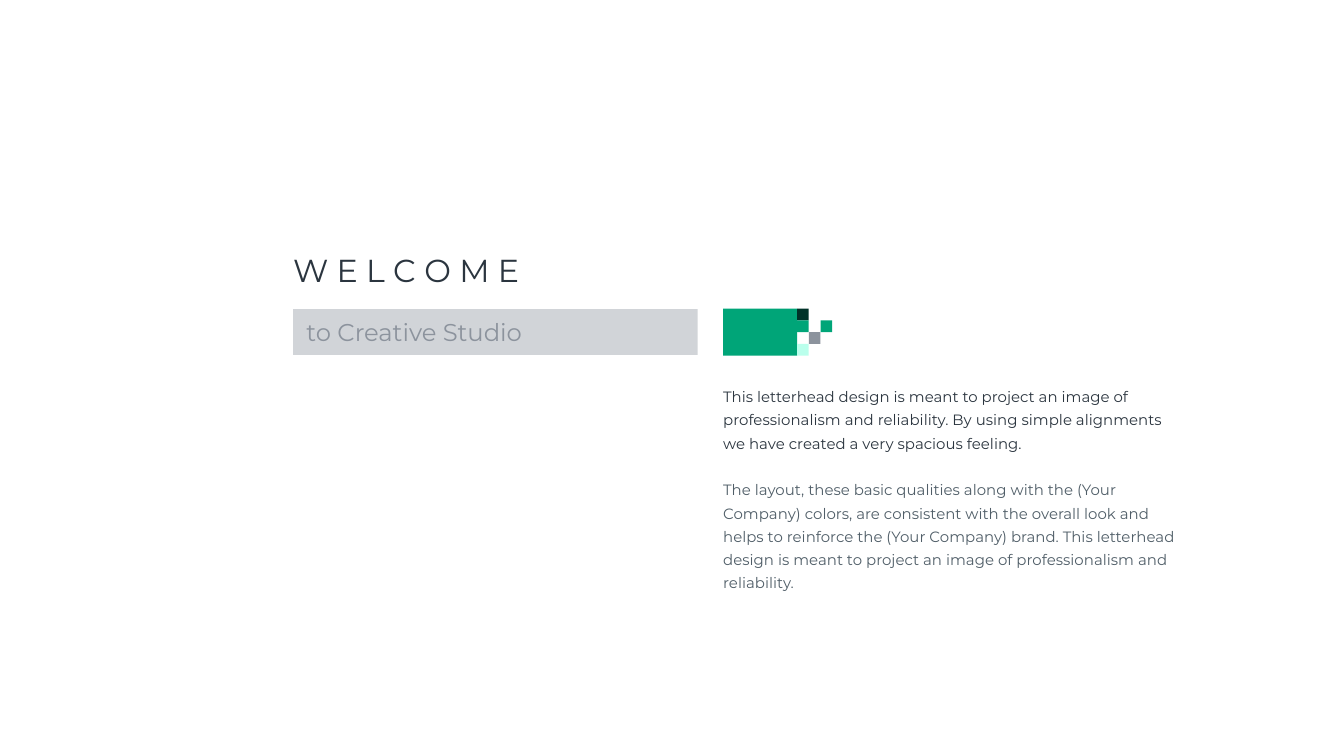
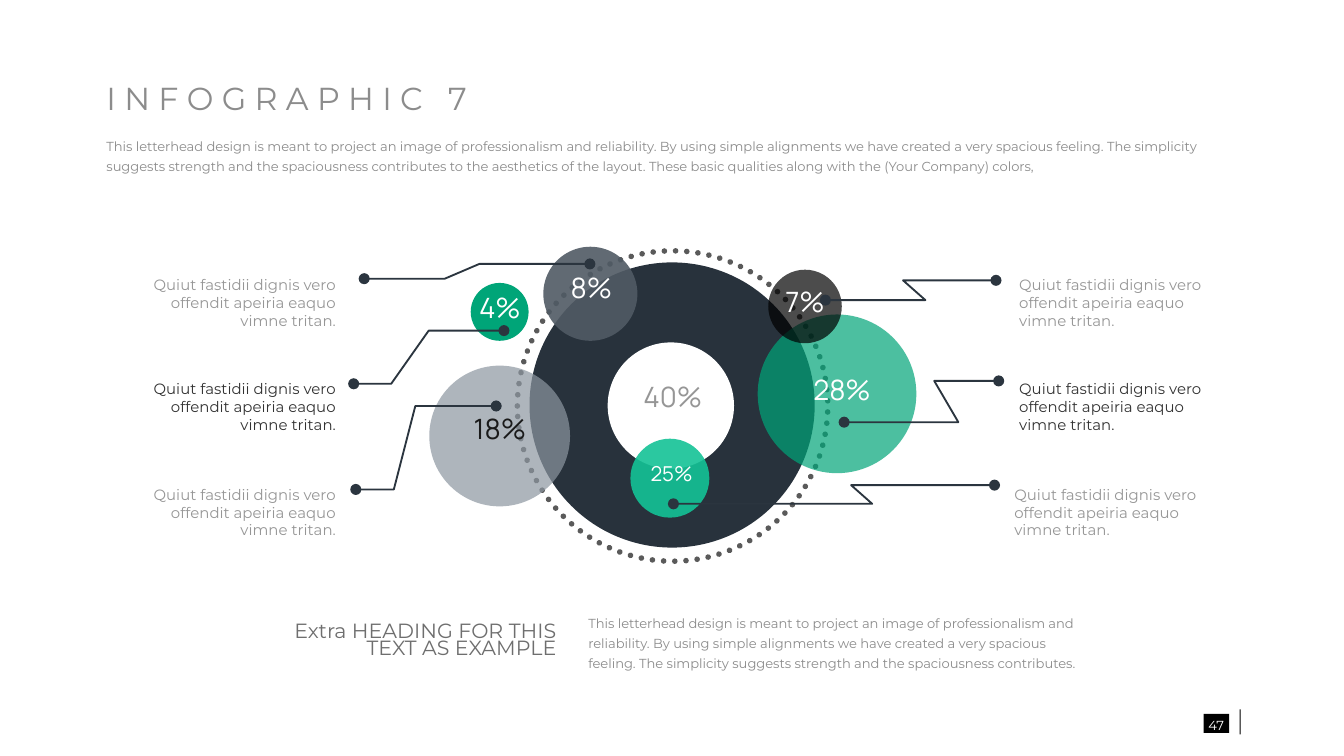
from dataclasses import dataclass

from lxml import etree
from pptx import Presentation
from pptx import util as u
from pptx.dml import color as dml
from pptx.enum import dml as dash, shapes, text
from pptx.oxml import ns


@dataclass(frozen=True)
class Theme:
    body_font: str = "Montserrat"
    figure_font: str = "Manrope"
    ink: str = "2B353F"
    slate: str = "505E68"
    steel: str = "8C939D"
    mist: str = "D1D4D8"
    green: str = "00A578"
    forest: str = "003228"
    mint: str = "BAFFEC"
    jade: str = "14C396"
    hub: str = "28323C"
    dots: str = "5A5A5A"
    dusk: str = "505A64"
    haze: str = "8C96A0"
    black: str = "000000"
    white: str = "FFFFFF"
    coal: str = "1A1A1A"
    strong: str = "323232"
    quiet: str = "969696"
    grey: str = "8C8C8C"
    heading: str = "6E6E6E"
    title_size: float = 17
    subtitle_size: float = 13
    figure_size: float = 15
    heading_size: float = 11
    body_size: float = 8
    small_size: float = 7


THEME = Theme()
LEFT, CENTER, RIGHT = text.PP_ALIGN.LEFT, text.PP_ALIGN.CENTER, text.PP_ALIGN.RIGHT
RECT, OVAL = shapes.MSO_SHAPE.RECTANGLE, shapes.MSO_SHAPE.OVAL


@dataclass(frozen=True)
class Box:
    left: float
    top: float
    width: float
    height: float

    def emu(self) -> tuple:
        return tuple(u.Pt(v) for v in (self.left, self.top, self.width, self.height))


@dataclass(frozen=True)
class Style:
    size: float
    color: str
    align: text.PP_ALIGN = LEFT
    spacing: float = 1.0
    font: str = THEME.body_font


@dataclass(frozen=True)
class Pixel:
    column: int
    row: int
    color: str


@dataclass(frozen=True)
class Bubble:
    label: str
    x: float
    y: float
    diameter: float
    fill: str
    label_x: float
    label_y: float
    opacity: int = 100
    color: str = THEME.white
    size: float = THEME.figure_size


@dataclass(frozen=True)
class Callout:
    box: Box
    color: str
    align: text.PP_ALIGN
    start: tuple
    bends: tuple
    end: tuple


def around(x: float, y: float, width: float, height: float) -> Box:
    return Box(x - width / 2, y - height / 2, width, height)


def rgb(value: str) -> dml.RGBColor:
    return dml.RGBColor.from_string(value)


def add_figure(slide, kind, box: Box, fill: str, opacity: int = 100):
    figure = slide.shapes.add_shape(kind, *box.emu())
    figure.shadow.inherit = False
    figure.fill.solid()
    figure.fill.fore_color.rgb = rgb(fill)
    if opacity < 100:
        tint = figure._element.spPr.find(".//" + ns.qn("a:srgbClr"))
        etree.SubElement(tint, ns.qn("a:alpha")).set("val", str(opacity * 1000))
    figure.line.fill.background()
    return figure


def add_words(slide, box: Box, style: Style, words: str):
    frame = slide.shapes.add_textbox(*box.emu()).text_frame
    frame.word_wrap = True
    frame.vertical_anchor = text.MSO_ANCHOR.MIDDLE
    frame.margin_left = frame.margin_right = frame.margin_top = frame.margin_bottom = 0
    add_line(frame.paragraphs[0], style, words)
    return frame


def add_line(paragraph, style: Style, words: str) -> None:
    paragraph.alignment = style.align
    paragraph.line_spacing = style.spacing
    run = paragraph.add_run()
    run.text = words
    run.font.size = u.Pt(style.size)
    run.font.name = style.font
    run.font.color.rgb = rgb(style.color)


def add_title(slide, box: Box, color: str, words: str, spacing: float = 1.0) -> None:
    add_words(slide, box, Style(THEME.title_size, color, spacing=spacing), words)


def add_bubble(slide, bubble: Bubble) -> None:
    circle = around(bubble.x, bubble.y, bubble.diameter, bubble.diameter)
    add_figure(slide, OVAL, circle, bubble.fill, bubble.opacity)
    style = Style(bubble.size, bubble.color, CENTER, 0.9, THEME.figure_font)
    add_words(slide, around(bubble.label_x, bubble.label_y, 40, 19.4), style, bubble.label)


def add_callout(slide, callout: Callout) -> None:
    add_words(slide, callout.box, Style(THEME.body_size, callout.color, callout.align), CALLOUT_TEXT)
    first, second = callout.bends
    route = [callout.start, (first, callout.start[1]), (second, callout.end[1]), callout.end]
    corners = [(u.Pt(x), u.Pt(y)) for x, y in route]
    builder = slide.shapes.build_freeform(*corners[0], scale=1.0)
    builder.add_line_segments(corners[1:], close=False)
    leader = builder.convert_to_shape()
    leader.shadow.inherit = False
    leader.fill.background()
    leader.line.color.rgb = rgb(THEME.ink)
    leader.line.width = u.Pt(1)
    stroke = leader.line._get_or_add_ln()
    for end in ("a:headEnd", "a:tailEnd"):
        etree.SubElement(stroke, ns.qn(end)).set("type", "oval")


INTRO = ("This letterhead design is meant to project an image of professionalism and reliability. "
         "By using simple alignments we have created a very spacious feeling.")
CALLOUT_TEXT = "Quiut fastidii dignis vero offendit apeiria eaquo vimne tritan."

PIXEL_SIZE = 6.3
PIXELS = [
    Pixel(0, 0, THEME.forest),
    Pixel(0, 1, THEME.green),
    Pixel(1, 2, THEME.steel),
    Pixel(0, 3, THEME.mint),
    Pixel(2, 1, THEME.green),
]

BUBBLES = [
    Bubble("8%", 316.3, 157.4, 50.4, THEME.dusk, 316.8, 155.2, opacity=90),
    Bubble("4%", 267.7, 167.1, 31, THEME.green, 267.8, 166),
    Bubble("18%", 267.7, 233.6, 75.4, THEME.haze, 267.8, 230.8, opacity=70, color=THEME.coal),
    Bubble("40%", 359.4, 217.3, 67.7, THEME.white, 360.4, 213.5, color=THEME.quiet),
    Bubble("28%", 448.4, 211, 85, THEME.green, 451.1, 209.9, opacity=70),
    Bubble("7%", 431.3, 164.2, 39.4, THEME.black, 431.3, 162.4, opacity=70),
    Bubble("25%", 358.9, 256.2, 42.3, THEME.jade, 359.8, 254.5, opacity=90,
           size=THEME.heading_size),
]

CALLOUTS = [
    Callout(Box(73.4, 146.9, 106.6, 30.2), THEME.quiet, RIGHT,
            (195.1, 149.3), (238.3, 256.8), (316, 141.4)),
    Callout(Box(73.4, 202.5, 106.6, 30.2), THEME.strong, RIGHT,
            (189.5, 205.6), (209.6, 229.7), (270, 177.1)),
    Callout(Box(70.6, 259.2, 109.4, 30.2), THEME.quiet, RIGHT,
            (190.6, 262.2), (211, 222.5), (265.8, 217.5)),
    Callout(Box(546, 146.9, 106.6, 30.2), THEME.quiet, LEFT,
            (533.6, 150.2), (483.8, 495.8), (442.2, 160.8)),
    Callout(Box(546, 202.5, 106.6, 30.2), THEME.strong, LEFT,
            (535, 204.1), (500.5, 513.4), (452.2, 226.2)),
    Callout(Box(543.4, 259.2, 109.4, 30.2), THEME.quiet, LEFT,
            (532.8, 259.9), (456, 467.3), (360.8, 269.9)),
]


def build_welcome(slide) -> None:
    add_figure(slide, RECT, Box(157, 165.6, 216.7, 24.6), THEME.mist)
    add_title(slide, Box(157, 132.5, 196.6, 23.8), THEME.ink, "W E L C O M E")
    add_words(slide, Box(164.2, 167.8, 139.7, 19.4),
              Style(THEME.subtitle_size, THEME.steel), "to Creative Studio")

    message = add_words(slide, Box(387.4, 213.8, 245.5, 94.3),
                        Style(THEME.body_size, THEME.ink, spacing=1.3), INTRO)
    detail = message.add_paragraph()
    detail.space_before = u.Pt(12.5)
    add_line(detail, Style(THEME.body_size, THEME.slate, spacing=1.3),
             "The layout, these basic qualities along with the (Your Company) colors, are consistent "
             "with the overall look and helps to reinforce the (Your Company) brand. This letterhead "
             "design is meant to project an image of professionalism and reliability.")

    block = Box(387.4, 165.4, 39.6, 4 * PIXEL_SIZE)
    add_figure(slide, RECT, block, THEME.green)
    for pixel in PIXELS:
        left = block.left + block.width + pixel.column * PIXEL_SIZE
        top = block.top + pixel.row * PIXEL_SIZE
        add_figure(slide, RECT, Box(left, top, PIXEL_SIZE, PIXEL_SIZE), pixel.color)


def build_infographic(slide) -> None:
    orbit = slide.shapes.add_shape(OVAL, *around(360.3, 217.5, 166.3, 166.3).emu())
    orbit.shadow.inherit = False
    orbit.fill.background()
    orbit.line.color.rgb = rgb(THEME.dots)
    orbit.line.width = u.Pt(3)
    orbit.line.dash_style = dash.MSO_LINE.ROUND_DOT
    orbit.line._get_or_add_ln().set("cap", "rnd")
    add_figure(slide, OVAL, around(360.1, 217, 152.8, 152.8), THEME.hub)

    for bubble in BUBBLES:
        add_bubble(slide, bubble)
    for callout in CALLOUTS:
        add_callout(slide, callout)

    add_title(slide, Box(57, 43.2, 317.5, 23.8), THEME.grey, "I N F O G R A P H I C   7", 0.7)
    note = Style(THEME.small_size, THEME.grey, spacing=1.3)
    add_words(slide, Box(57, 71.3, 598.3, 22.3), note,
              INTRO + " The simplicity suggests strength and the spaciousness contributes to the "
              "aesthetics of the layout. These basic qualities along with the (Your Company) colors,")
    add_words(slide, Box(148.3, 330.5, 149.8, 26.6),
              Style(THEME.heading_size, THEME.heading, RIGHT, 0.7),
              "Extra HEADING FOR THIS TEXT AS EXAMPLE")
    add_words(slide, Box(315.2, 326.9, 270.7, 33.1), note,
              INTRO + " The simplicity suggests strength and the spaciousness contributes.")
    add_page_number(slide, "47")


def add_page_number(slide, number: str) -> None:
    add_figure(slide, RECT, Box(644.8, 382.4, 13.7, 10.3), THEME.black)
    add_words(slide, Box(643.2, 381.6, 16.6, 11.5),
              Style(THEME.small_size, THEME.white, CENTER, 1.3), number)
    add_figure(slide, RECT, Box(664.1, 380, 0.5, 13.5), THEME.black)


def main() -> None:
    deck = Presentation()
    deck.slide_width, deck.slide_height = u.Pt(720), u.Pt(405)
    for build in (build_welcome, build_infographic):
        build(deck.slides.add_slide(deck.slide_layouts[6]))
    deck.save("out.pptx")


if __name__ == "__main__":
    main()
